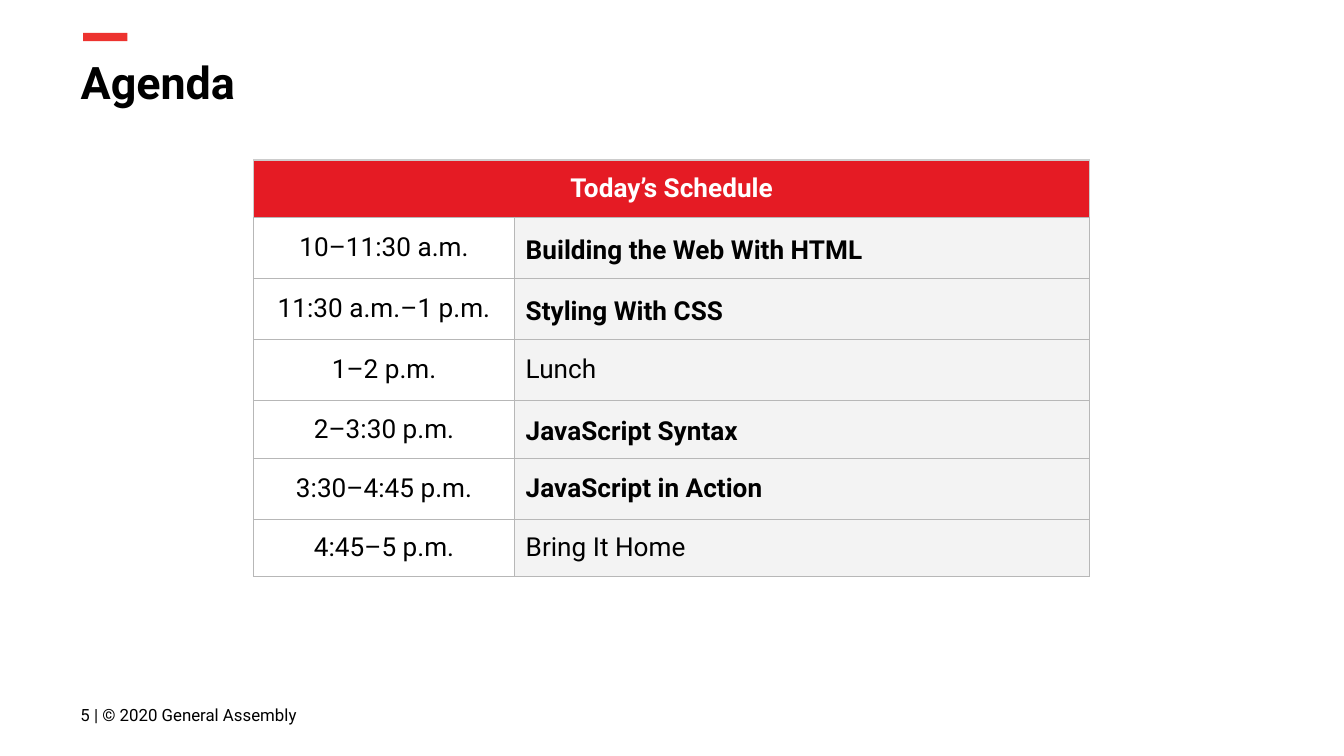
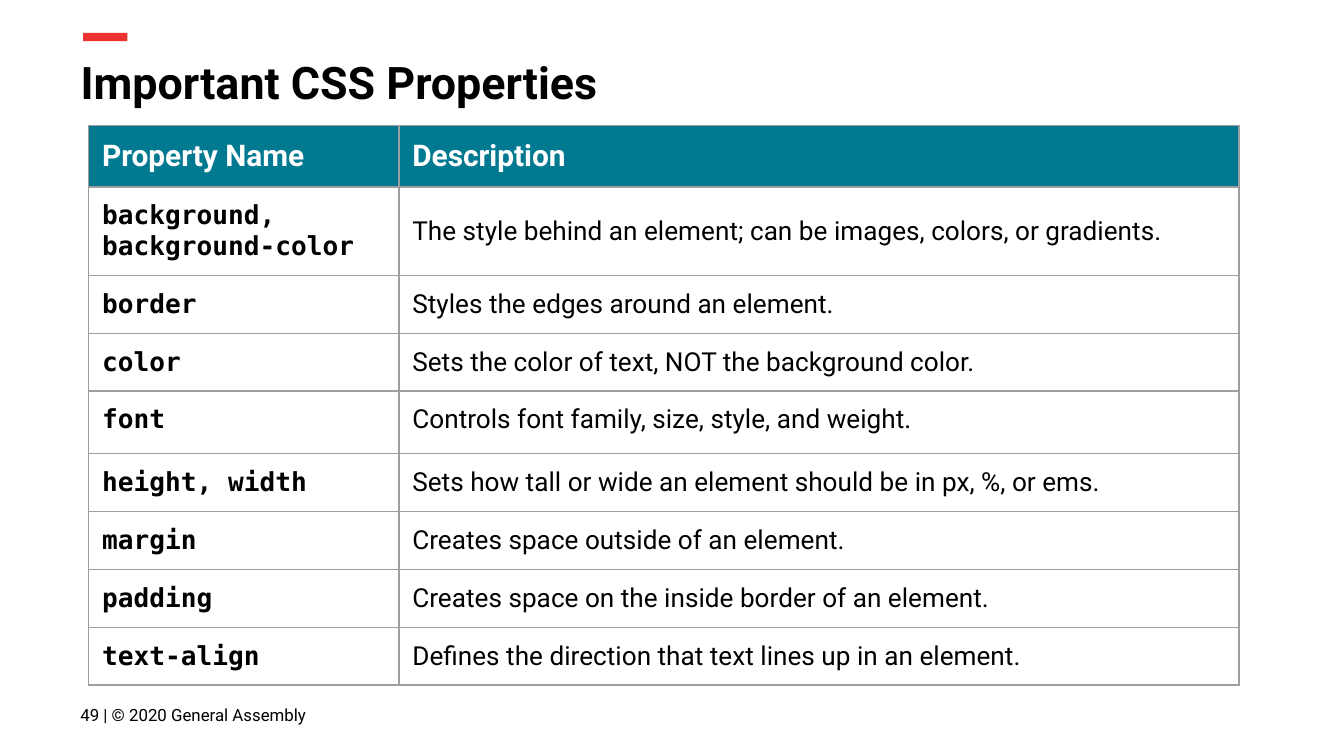
from dataclasses import dataclass

from lxml import etree
from pptx import Presentation
from pptx.dml.color import RGBColor
from pptx.enum.shapes import MSO_SHAPE
from pptx.enum.text import MSO_ANCHOR, MSO_AUTO_SIZE, PP_ALIGN
from pptx.oxml.ns import qn
from pptx.util import Pt

RECTANGLE = MSO_SHAPE.RECTANGLE
TOP, MIDDLE = MSO_ANCHOR.TOP, MSO_ANCHOR.MIDDLE
LEFT, CENTER = PP_ALIGN.LEFT, PP_ALIGN.CENTER
NO_AUTOFIT = MSO_AUTO_SIZE.NONE
TITLE_ONLY = 5


@dataclass(frozen=True)
class Theme:
    sans: str = "Roboto"
    mono: str = "DejaVu Sans Mono"
    black: str = "000000"
    white: str = "FFFFFF"
    accent: str = "ED332F"
    red: str = "E51B24"
    teal: str = "017991"
    pale: str = "F3F3F3"
    schedule_border: str = "B7B7B7"
    schedule_edge: str = "CCCCCC"
    property_border: str = "9E9E9E"
    title_size: float = 24
    heading_size: float = 16
    body_size: float = 14
    footer_size: float = 9
    border_width: float = 0.75
    inset: float = 7.2
    tight_inset: float = 6


THEME = Theme()

SCHEDULE = [
    ("10–11:30 a.m.", "Building the Web With HTML", {"bold": True, "line_spacing": 1.15}),
    ("11:30 a.m.–1 p.m.", "Styling With CSS", {"bold": True, "line_spacing": 1.15}),
    ("1–2 p.m.", "Lunch", {}),
    ("2–3:30 p.m.", "JavaScript Syntax", {"bold": True, "line_spacing": 1.15}),
    ("3:30–4:45 p.m.", "JavaScript in Action", {"bold": True}),
    ("4:45–5 p.m.", "Bring It Home", {}),
]

PROPERTIES = [
    ("background, background-color",
     "The style behind an element; can be images, colors, or gradients.",
     {"anchor": MIDDLE}),
    ("border", "Styles the edges around an element.", {}),
    ("color", "Sets the color of text, NOT the background color.", {}),
    ("font", "Controls font family, size, style, and weight.", {"space_after": Pt(5)}),
    ("height, width", "Sets how tall or wide an element should be in px, %, or ems.", {}),
    ("margin", "Creates space outside of an element.", {}),
    ("padding", "Creates space on the inside border of an element.", {}),
    ("text-align", "Defines the direction that text lines up in an element.", {}),
]


class Deck:
    """Hold the theme and the current slide, and draw each kind of element."""

    def __init__(self, theme):
        self.theme = theme
        self.presentation = Presentation()
        self.presentation.slide_width = Pt(720)
        self.presentation.slide_height = Pt(405)
        self.slide = None

    def set_values(self, target, values):
        for name, value in values.items():
            setattr(target, name, value)

    def set_text(self, frame, text, size, color=None, font=None, bold=False, **paragraph_format):
        paragraph = frame.paragraphs[0]
        paragraph.text = text
        self.set_values(paragraph, paragraph_format)
        self.set_values(paragraph.font, {
            "name": font or self.theme.sans, "size": Pt(size), "bold": bold})
        paragraph.font.color.rgb = RGBColor.from_string(color or self.theme.black)

    def set_margins(self, target, inset):
        sides = ("left", "top", "right", "bottom")
        self.set_values(target, {f"margin_{side}": Pt(inset) for side in sides})

    def place(self, shape, left, top, width, height):
        self.set_values(shape, {"left": Pt(left), "top": Pt(top),
                                "width": Pt(width), "height": Pt(height)})

    def add_slide(self, title, number):
        layout = self.presentation.slide_layouts[TITLE_ONLY]
        self.slide = self.presentation.slides.add_slide(layout)
        self.add_accent()
        self.add_title(title)
        self.add_footer(f"{number} | © 2020 General Assembly")

    def add_accent(self):
        bar = self.slide.shapes.add_shape(RECTANGLE, Pt(44.5), Pt(17.6), Pt(23.8), Pt(4.4))
        bar.shadow.inherit = False
        bar.fill.solid()
        bar.fill.fore_color.rgb = RGBColor.from_string(self.theme.accent)
        bar.line.fill.background()

    def add_title(self, text):
        title = self.slide.shapes.title
        self.place(title, 36, 22.3, 671, 45.4)
        self.fill_frame(title.text_frame, text, TOP, self.theme.title_size, bold=True)

    def add_footer(self, text):
        footer = self.slide.shapes.add_textbox(Pt(36), Pt(367.2), Pt(186.5), Pt(31))
        self.fill_frame(footer.text_frame, text, MIDDLE, self.theme.footer_size)

    def fill_frame(self, frame, text, anchor, size, bold=False):
        self.set_values(frame, {"word_wrap": True, "auto_size": NO_AUTOFIT,
                                "vertical_anchor": anchor})
        self.set_margins(frame, self.theme.inset)
        self.set_text(frame, text, size, bold=bold, alignment=LEFT)

    def add_table(self, left, top, columns, rows):
        frame = self.slide.shapes.add_table(
            len(rows), len(columns), Pt(left), Pt(top), Pt(sum(columns)), Pt(sum(rows)))
        table = frame.table
        self.set_values(table, {"first_row": False, "horz_banding": False})
        for column, width in zip(table.columns, columns):
            column.width = Pt(width)
        for row, height in zip(table.rows, rows):
            row.height = Pt(height)
        return table

    def add_borders(self, cell, color, edge):
        properties = cell._tc.get_or_add_tcPr()
        for side in ("lnL", "lnR", "lnT", "lnB"):
            line = etree.SubElement(properties, qn(f"a:{side}"),
                                    w=str(Pt(self.theme.border_width)))
            fill = etree.SubElement(line, qn("a:solidFill"))
            etree.SubElement(fill, qn("a:srgbClr"), val=color if side == "lnB" else edge)

    def fill_cell(self, cell, text, border, edge=None, fill=None, anchor=TOP,
                  inset=THEME.inset, size=THEME.body_size, **text_format):
        self.add_borders(cell, border, edge or border)
        if fill:
            cell.fill.solid()
            cell.fill.fore_color.rgb = RGBColor.from_string(fill)
        else:
            cell.fill.background()
        cell.vertical_anchor = anchor
        self.set_margins(cell, inset)
        self.set_text(cell.text_frame, text, size, **text_format)


def build_agenda(deck):
    theme = deck.theme
    deck.add_slide("Agenda", 5)
    short, tall = 30.7, 32.7
    table = deck.add_table(135.9, 85.7, [139.8, 308.2],
                           [short, tall, tall, tall, short, tall, short])
    shared = {"border": theme.schedule_border, "anchor": MIDDLE, "inset": theme.tight_inset}
    heading = {**shared, "edge": theme.schedule_edge, "fill": theme.red,
               "color": theme.white, "bold": True, "alignment": CENTER}
    table.cell(0, 0).merge(table.cell(0, 1))
    for column, text in enumerate(("Today’s Schedule", "")):
        deck.fill_cell(table.cell(0, column), text, **heading)
    for row, (time, topic, style) in enumerate(SCHEDULE, start=1):
        deck.fill_cell(table.cell(row, 0), time, alignment=CENTER, **shared)
        deck.fill_cell(table.cell(row, 1), topic, fill=theme.pale, **shared, **style)


def build_properties(deck):
    theme = deck.theme
    deck.add_slide("Important CSS Properties", 49)
    normal = 28.8
    table = deck.add_table(47.5, 67.2, [166.2, 450],
                           [32, 44, normal, normal, 33.6] + [normal] * 4)
    border = theme.property_border
    for column, text in enumerate(("Property Name", "Description")):
        deck.fill_cell(table.cell(0, column), text, border, fill=theme.teal,
                       size=theme.heading_size, color=theme.white, bold=True)
    for row, (name, description, style) in enumerate(PROPERTIES, start=1):
        anchor = style.get("anchor", TOP)
        deck.fill_cell(table.cell(row, 0), name, border, anchor=anchor,
                       font=theme.mono, bold=True)
        deck.fill_cell(table.cell(row, 1), description, border, **style)


def main():
    deck = Deck(THEME)
    build_agenda(deck)
    build_properties(deck)
    deck.presentation.save("out.pptx")


if __name__ == "__main__":
    main()
